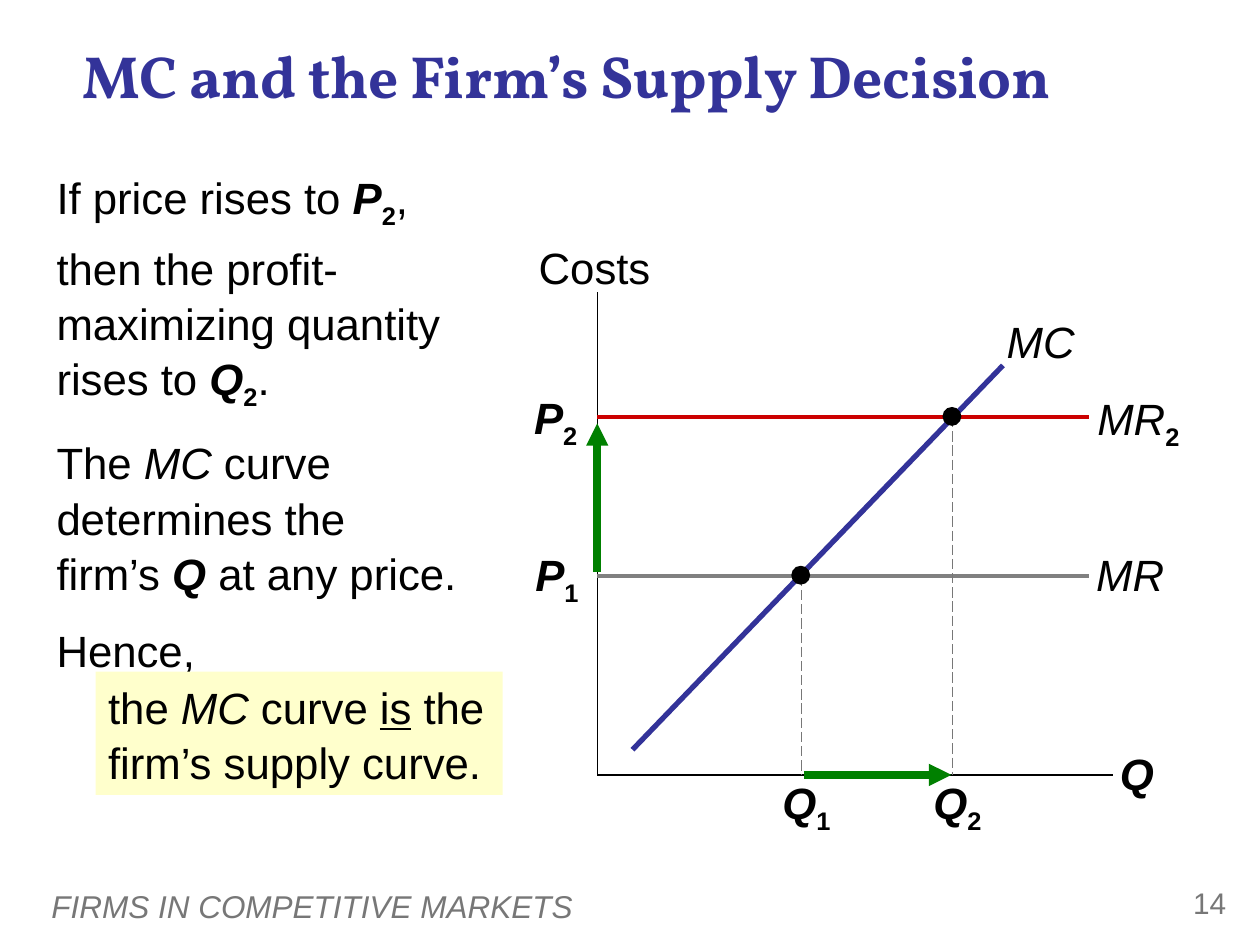
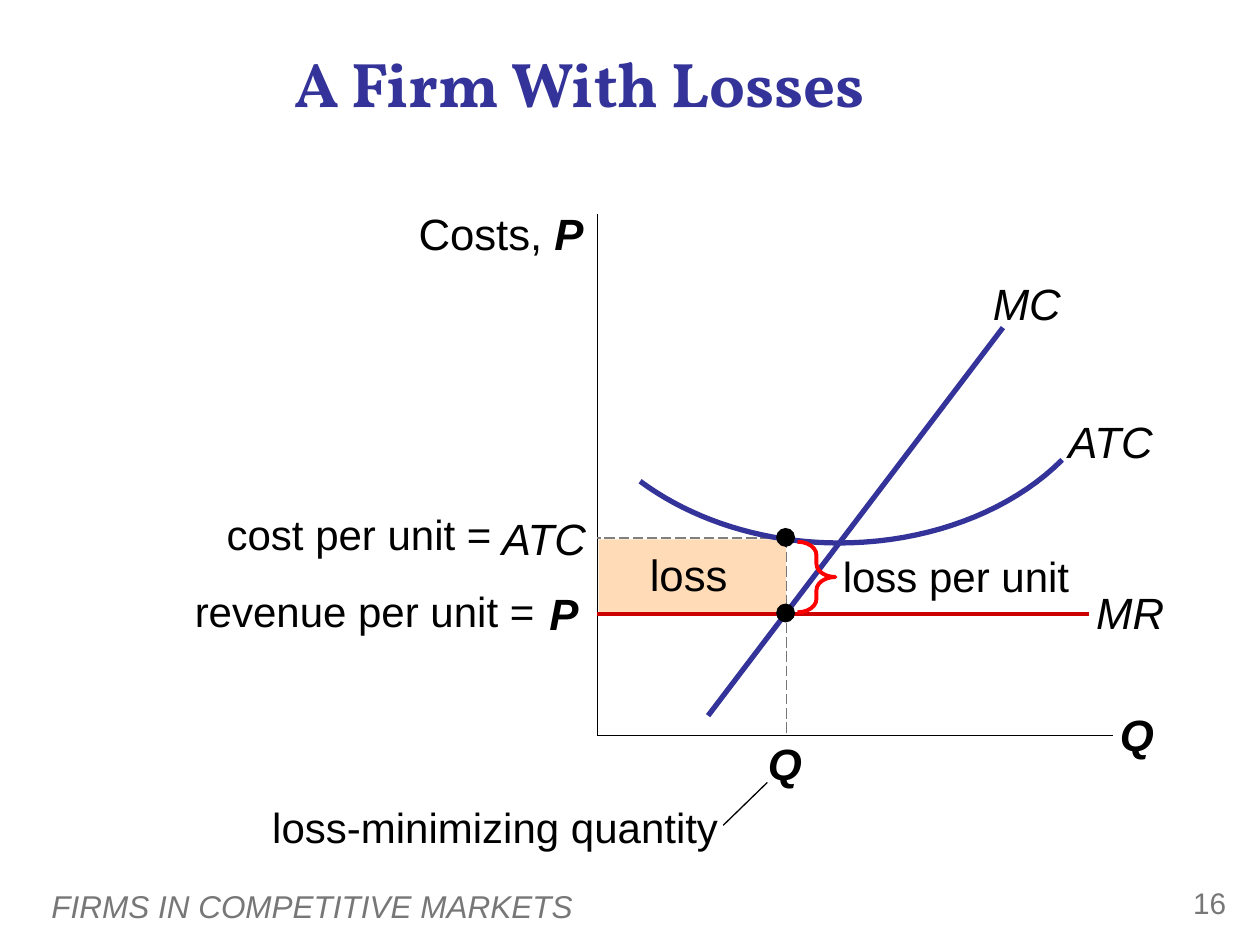
"""Build two slides on supply and losses of a competitive firm."""
import pptx
import pptx.util
import pptx.dml.color
import pptx.enum.dml
import pptx.enum.shapes
import pptx.enum.text
import pptx.oxml.ns
import lxml.etree

Inches, Pt = pptx.util.Inches, pptx.util.Pt
RGB = pptx.dml.color.RGBColor
Shape = pptx.enum.shapes.MSO_SHAPE
Align = pptx.enum.text.PP_ALIGN
Anchor = pptx.enum.text.MSO_ANCHOR
qn = pptx.oxml.ns.qn

BLACK = RGB(0, 0, 0)
NAVY = RGB(0x33, 0x33, 0x99)
RED = RGB(0xCC, 0, 0)
BRIGHT = RGB(0xFF, 0, 0)
GREEN = RGB(0, 0x80, 0)
GRAY = RGB(0x80, 0x80, 0x80)
DIM = RGB(0x77, 0x77, 0x77)
CREAM = RGB(0xFF, 0xFF, 0xCC)
PEACH = RGB(0xFF, 0xDB, 0xB7)
LEFT, MID, RIGHT = Align.LEFT, Align.CENTER, Align.RIGHT
AXIS = 4.74


def write(frame, texts, size=25, align=LEFT, color=BLACK, pad=0.1, gaps=(), pitch=None):
    """Fill a frame; in a text, | parts runs and : precedes styles b, i, u, s."""
    frame.word_wrap = True
    frame.margin_left = frame.margin_right = Inches(pad)
    frame.margin_top = frame.margin_bottom = Inches(pad / 2)
    for n, text in enumerate(texts):
        para = frame.add_paragraph() if n else frame.paragraphs[0]
        para.alignment = align
        para.line_spacing = pitch
        if n:
            para.space_before = Pt(gaps[n - 1])
        para.font.name, para.font.size = "Arial", Pt(size)
        para.font.color.rgb = color
        for part in text.split("|"):
            if part == "\n":
                para.add_line_break()
                continue
            word, _, style = part.partition(":")
            run = para.add_run()
            run.text = word
            if "b" in style:
                run.font.bold = True
            if "i" in style:
                run.font.italic = True
            if "u" in style:
                run.font.underline = True
            if "s" in style:
                run.font._element.set("baseline", "-25000")


def draw(slide, x1, y1, x2, y2, color=BLACK, width=0.75, dash=False, arrow=False):
    """Draw a straight line."""
    line = slide.shapes.add_connector(
        pptx.enum.shapes.MSO_CONNECTOR.STRAIGHT,
        Inches(x1), Inches(y1), Inches(x2), Inches(y2))
    line.line.color.rgb, line.line.width = color, Pt(width)
    if dash:
        line.line.dash_style = pptx.enum.dml.MSO_LINE.LONG_DASH
    props = line._element.spPr
    if arrow:
        lxml.etree.SubElement(props.find(qn("a:ln")), qn("a:tailEnd"), type="triangle")
    lxml.etree.SubElement(props, qn("a:effectLst"))


deck = pptx.Presentation()
deck.slide_width, deck.slide_height = Inches(10), Inches(7.5)

for title, page, size, top, wide, high, peak, base in (
    ("MC and the Firm’s Supply Decision", "14", 34, 0.24, 9, 0.71, 2.32, 6.15),
    ("A Firm With Losses", "16", 36, 0.28, 9.2, 0.74, 1.7, 5.84),
):
    slide = deck.slides.add_slide(deck.slide_layouts[5])
    head = slide.shapes.title
    head.left, head.top = Inches(0), Inches(top)
    head.width, head.height = Inches(wide), Inches(high)
    head.text_frame.text = title
    head.text_frame.vertical_anchor = Anchor.MIDDLE
    para = head.text_frame.paragraphs[0]
    para.alignment = MID
    para.font.name, para.font.size = "Vollkorn", Pt(size)
    para.font.bold, para.font.color.rgb = True, NAVY

    foot = slide.shapes.add_textbox(Inches(0.31), Inches(6.99), Inches(8.02), Inches(0.4))
    foot.text_frame.vertical_anchor = Anchor.MIDDLE
    write(foot.text_frame, ["FIRMS IN COMPETITIVE MARKETS:i"], 18, LEFT, DIM)
    num = slide.shapes.add_textbox(Inches(9.08), Inches(6.97), Inches(0.75), Inches(0.4))
    write(num.text_frame, [page], 17, RIGHT, DIM)

    draw(slide, AXIS, peak, AXIS, base)
    draw(slide, AXIS, base, 8.83, base)

rise, loss = deck.slides

body = rise.shapes.add_textbox(Inches(0.35), Inches(1.28), Inches(3.48), Inches(4.32))
write(body.text_frame, [
    "If price rises to |P:bi|2:bs|,",
    "then the profit-maximizing quantity rises to |Q:bi|2:bs|.",
    "The |MC:i| curve determines the |\n|firm’s |Q:bi| at any price.",
    "Hence,",
], gaps=(5, 12.5, 12.5), pitch=1.05)

draw(rise, AXIS, 4.57, 8.64, 4.57, GRAY, 2.25)
draw(rise, AXIS, 3.31, 8.64, 3.31, RED, 2.25)
draw(rise, 5.02, 5.95, 7.96, 2.9, NAVY, 3)
for x, y in ((6.36, 4.57), (7.56, 3.31)):
    draw(rise, x, y, x, 6.15, DIM, dash=True)

area = loss.shapes.add_shape(Shape.RECTANGLE, Inches(4.75), Inches(4.28), Inches(1.49), Inches(0.58))
note = rise.shapes.add_shape(Shape.RECTANGLE, Inches(0.76), Inches(5.33), Inches(3.23), Inches(0.98))
for box, color in ((area, PEACH), (note, CREAM)):
    box.shadow.inherit = False
    box.fill.solid()
    box.fill.fore_color.rgb = color
    box.line.fill.background()
write(note.text_frame, ["the |MC:i| curve |is:u| the firm’s supply curve."], pitch=1.05)

draw(loss, 6.23, 4.27, AXIS, 4.27, GRAY, dash=True)
draw(loss, 5.62, 5.68, 7.96, 2.6, NAVY, 3)
curve = [(8.43, 3.65), (8.01, 4.07), (7.35, 4.31), (6.66, 4.31),
         (6.06, 4.31), (5.5, 4.13), (5.08, 3.82)]
dots = []
for start in (0, 3):
    a, b, c, d = curve[start:start + 4]
    for step in range(21):
        t = step / 20
        dots.append(tuple(
            Inches((1 - t) ** 3 * a[k] + 3 * t * (1 - t) ** 2 * b[k]
                   + 3 * t * t * (1 - t) * c[k] + t ** 3 * d[k]) for k in (0, 1)))
pen = loss.shapes.build_freeform(*dots[0])
pen.add_line_segments(dots[1:], close=False)
cost = pen.convert_to_shape()
draw(loss, AXIS, 4.87, 8.64, 4.87, RED, 2.25)
draw(loss, 6.24, 4.27, 6.24, 5.84, DIM, dash=True)
draw(loss, 5.74, 6.55, 6.09, 6.21)

brace = loss.shapes.add_shape(Shape.RIGHT_BRACE, Inches(6.33), Inches(4.3), Inches(0.3), Inches(0.56))
brace.adjustments[0], brace.adjustments[1] = 0.35, 0.5
for form, color, width in ((cost, NAVY, 3), (brace, BRIGHT, 2.25)):
    form.shadow.inherit = False
    form.fill.background()
    form.line.color.rgb, form.line.width = color, Pt(width)

for slide, x, y in ((rise, 6.36, 4.57), (rise, 7.56, 3.31), (loss, 6.24, 4.87), (loss, 6.24, 4.27)):
    dot = slide.shapes.add_shape(
        Shape.OVAL, Inches(x - 0.08), Inches(y - 0.08), Inches(0.15), Inches(0.15))
    dot.shadow.inherit = False
    dot.fill.solid()
    dot.fill.fore_color.rgb = BLACK
    dot.line.fill.background()

for slide, x, y, wide, text, size, align, pad in (
    (rise, 4.02, 4.3, 0.67, "P:bi|1:bs", 25, RIGHT, 0.1),
    (rise, 4.01, 3.05, 0.67, "P:bi|2:bs", 25, RIGHT, 0.1),
    (rise, 8.7, 4.35, 0.78, "MR:i", 25, LEFT, 0),
    (rise, 8.71, 3.11, 0.77, "MR:i|2:bs", 25, LEFT, 0),
    (rise, 8.79, 5.88, 0.59, "Q:bi", 25, LEFT, 0.1),
    (rise, 4.06, 1.86, 1.2, "Costs", 25, RIGHT, 0.1),
    (rise, 7.99, 2.5, 0.66, "MC:i", 25, LEFT, 0),
    (rise, 6.17, 6.16, 0.46, "Q:bi|1:bs", 25, MID, 0),
    (rise, 7.37, 6.16, 0.46, "Q:bi|2:bs", 25, MID, 0),
    (loss, 3.84, 4.06, 0.81, "ATC:i", 25, RIGHT, 0),
    (loss, 4.94, 4.3, 1.05, "loss", 25, MID, 0.1),
    (loss, 8.79, 5.57, 0.59, "Q:bi", 25, LEFT, 0.1),
    (loss, 3.11, 1.59, 1.62, "Costs, |P:bi", 25, RIGHT, 0.1),
    (loss, 7.88, 2.2, 0.66, "MC:i", 25, LEFT, 0),
    (loss, 8.48, 3.29, 0.81, "ATC:i", 25, LEFT, 0),
    (loss, 4.02, 4.61, 0.67, "P:bi", 25, RIGHT, 0.1),
    (loss, 8.7, 4.65, 0.66, "MR:i", 25, LEFT, 0),
    (loss, 6, 5.85, 0.46, "Q:bi", 25, MID, 0),
    (loss, 6.59, 4.32, 2.12, "loss per unit", 24, LEFT, 0.1),
    (loss, 1.29, 4.6, 3.05, "revenue per unit =", 24, RIGHT, 0.1),
    (loss, 1.6, 3.99, 2.4, "cost per unit =", 24, RIGHT, 0.1),
    (loss, 2, 6.31, 3.86, "loss-minimizing quantity", 24, MID, 0.1),
):
    high = size / 60 + pad
    label = slide.shapes.add_textbox(Inches(x), Inches(y), Inches(wide), Inches(high))
    write(label.text_frame, [text], size, align, pad=pad)

draw(rise, 6.38, 6.15, 7.55, 6.15, GREEN, 4.25, arrow=True)
draw(rise, AXIS, 4.54, AXIS, 3.36, GREEN, 4.25, arrow=True)

deck.save("out.pptx")
